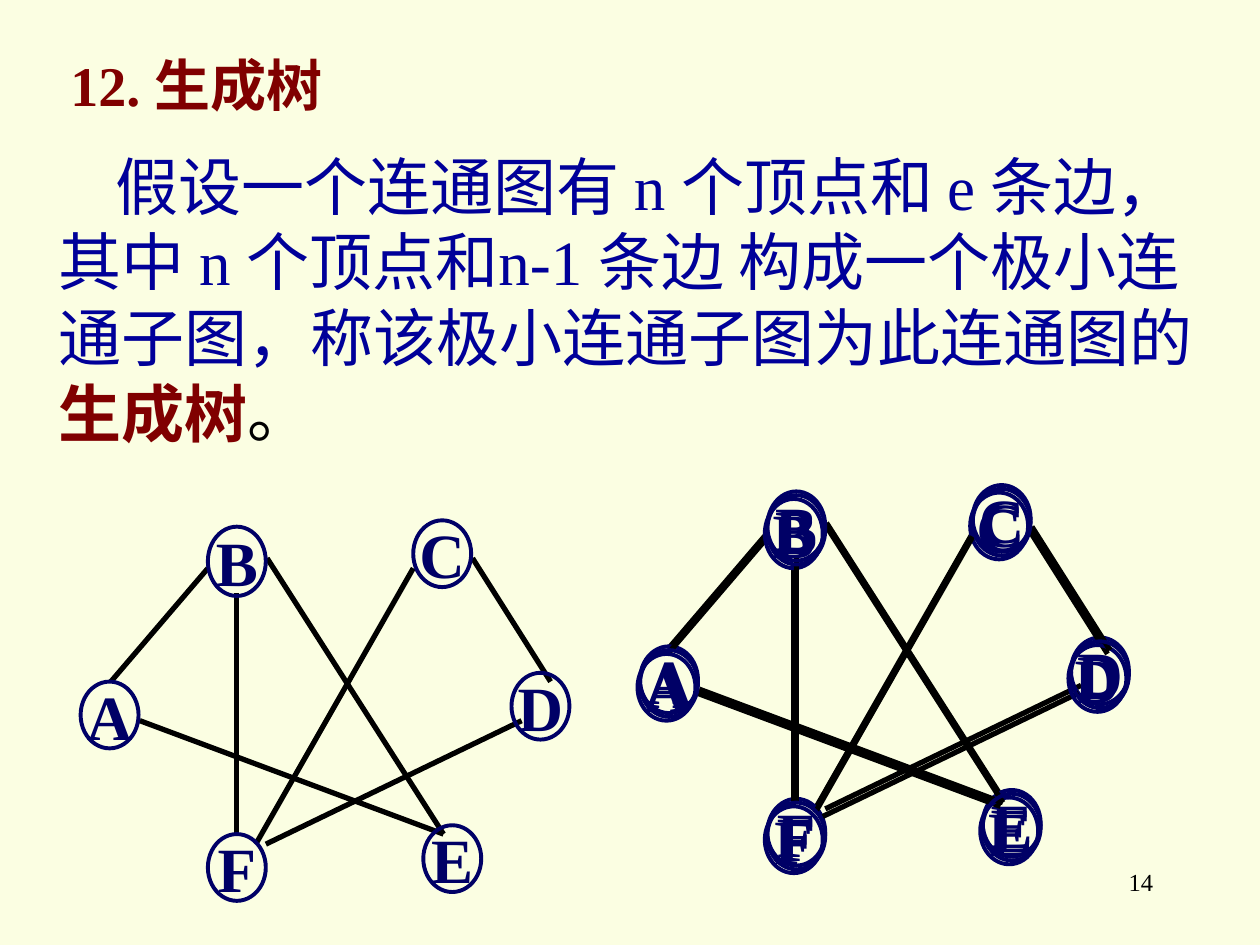
from lxml import etree
from pptx import Presentation
from pptx import util as u
from pptx.dml.color import RGBColor
from pptx.enum import shapes, text
from pptx.oxml import ns

SERIF, CJK = "Times New Roman", "Noto Sans CJK SC"
BLACK, BLUE, NAVY, MAROON = "000000", "000099", "000066", "800000"

# Nodes and edges in inches from the corner of a graph
NODE_W, NODE_H = 0.46, 0.53
NODES = {"A": (0, 1.28), "B": (1.01, 0.05), "C": (2.64, 0),
         "D": (3.42, 1.21), "E": (2.72, 2.42), "F": (1.01, 2.49)}
EDGES = {"BF": (1.24, 0.58, 1.24, 2.49), "AB": (1.01, 0.38, 0.24, 1.28),
         "BE": (1.48, 0.3, 2.88, 2.49), "AE": (0.47, 1.59, 2.88, 2.49),
         "CF": (2.64, 0.38, 1.39, 2.57), "CD": (3.11, 0.3, 3.73, 1.28),
         "DF": (3.5, 1.59, 1.47, 2.57)}


def color(code):
    return RGBColor.from_string(code)


def add_span(para, words, size, code, font=SERIF, bold=False):
    span = para.add_run()
    span.text = words
    span.font.size = u.Pt(size)
    span.font.bold = bold
    span.font.name = font
    span.font.color.rgb = color(code)
    east_asian = etree.SubElement(span.font._element, ns.qn("a:ea"))
    east_asian.set("typeface", CJK)


def add_text(page, left, top, width, height, wrap=True):
    box = page.shapes.add_textbox(*map(u.Inches, (left, top, width, height)))
    box.text_frame.word_wrap = wrap
    return box.text_frame.paragraphs[0]


def add_heading(page, left, top, width, height):
    para = add_text(page, left, top, width, height, wrap=False)
    add_span(para, "12. 生成树", 32, MAROON, bold=True)


def add_definition(page, left, top, width, height):
    para = add_text(page, left, top, width, height)
    properties = para._p.get_or_add_pPr()
    properties.set("indent", str(u.Inches(0.45)))
    properties.set("hangingPunct", "0")
    for words, font in (("假设一个连通图有 ", CJK), ("n ", SERIF),
                        ("个顶点和 ", CJK), ("e ", SERIF),
                        ("条边，其中 ", CJK), ("n ", SERIF),
                        ("个顶点和", CJK), ("n-1 ", SERIF),
                        ("条边 构成一个极小连通子图，称该极小连通子图为此连通图的", CJK)):
        add_span(para, words, 36, BLUE, font)
    add_span(para, "生成树", 36, MAROON, CJK, bold=True)
    add_span(para, "。", 36, BLACK, CJK)


def add_page_number(page, left, top, width, height):
    para = add_text(page, left, top, width, height)
    para.alignment = text.PP_ALIGN.RIGHT
    add_span(para, "14", 14, BLACK)


def add_node(page, name, left, top):
    height = 0.55 if name == "B" else NODE_H
    node = page.shapes.add_shape(
        shapes.MSO_SHAPE.OVAL, *map(u.Inches, (left, top, NODE_W, height)))
    node.shadow.inherit = False
    node.fill.background()
    node.line.color.rgb = color(NAVY)
    node.line.width = u.Pt(2.25)
    frame = node.text_frame
    frame.word_wrap = False
    frame.vertical_anchor = text.MSO_ANCHOR.MIDDLE
    para = frame.paragraphs[0]
    para.alignment = text.PP_ALIGN.CENTER
    add_span(para, name, 36, NAVY, bold=True)


def add_edge(page, *ends):
    edge = page.shapes.add_connector(
        shapes.MSO_CONNECTOR.STRAIGHT, *map(u.Inches, ends))
    edge.line.color.rgb = color(BLACK)
    edge.line.width = u.Pt(3)
    etree.SubElement(edge._element.spPr, ns.qn("a:effectLst"))


def add_graph(page, left, top, left_out=()):
    """Draw the graph at a corner, without the edges left out."""
    for name, (x1, y1, x2, y2) in EDGES.items():
        if name not in left_out:
            add_edge(page, left + x1, top + y1, left + x2, top + y2)
    for name, (x, y) in NODES.items():
        add_node(page, name, left + x, top + y)


def main():
    deck = Presentation()
    deck.slide_width, deck.slide_height = u.Inches(10), u.Inches(7.5)
    page = deck.slides.add_slide(deck.slide_layouts[6])
    page.background.fill.solid()
    page.background.fill.fore_color.rgb = color("FBFEE2")

    # Text
    add_page_number(page, 7.17, 6.83, 2.08, 0.5)
    add_definition(page, 0.37, 1.12, 9.33, 2.5)
    add_heading(page, 0.46, 0.35, 2.53, 0.64)

    # Connected graph, then three overlaid subgraphs
    add_graph(page, 0.64, 4.13)
    add_graph(page, 5.08, 3.85, ("AE", "CD"))
    add_graph(page, 5.06, 3.91, ("BE", "CF"))
    add_graph(page, 5.08, 3.88, ("AB", "DF"))

    deck.save("out.pptx")


if __name__ == "__main__":
    main()
